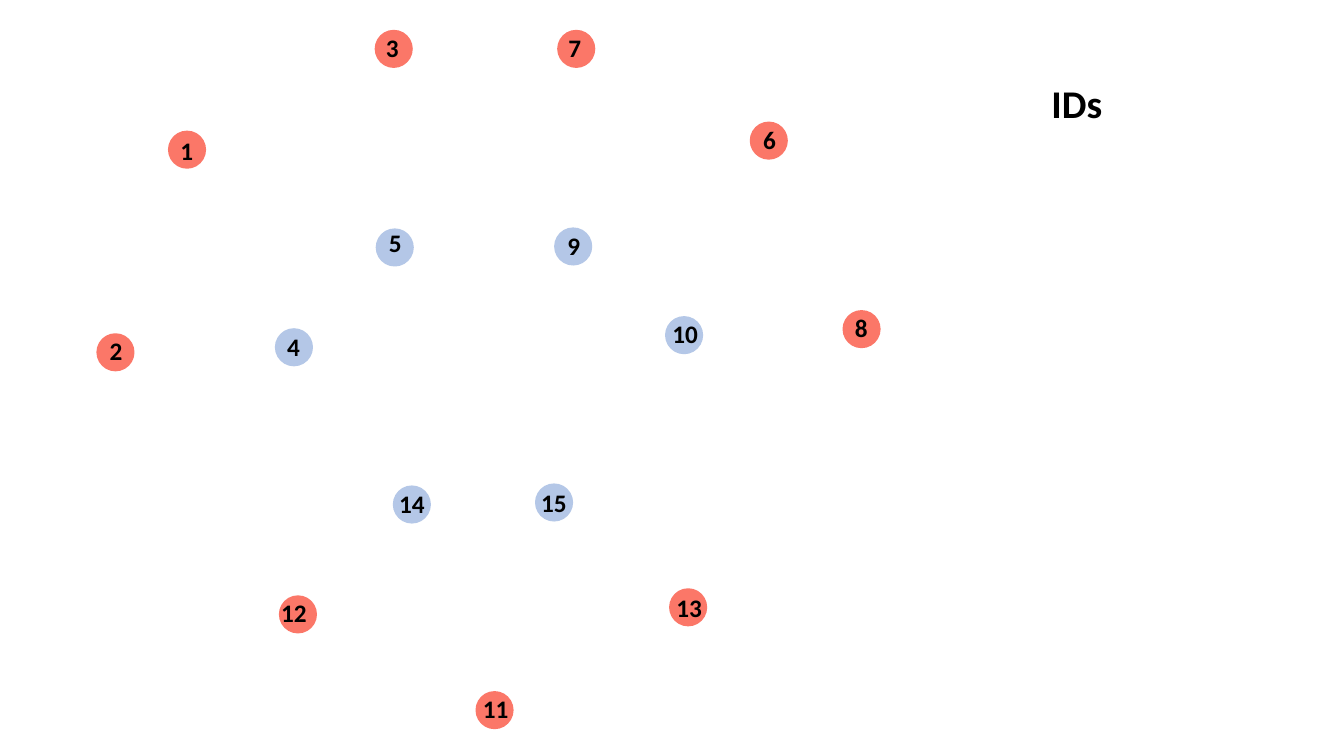
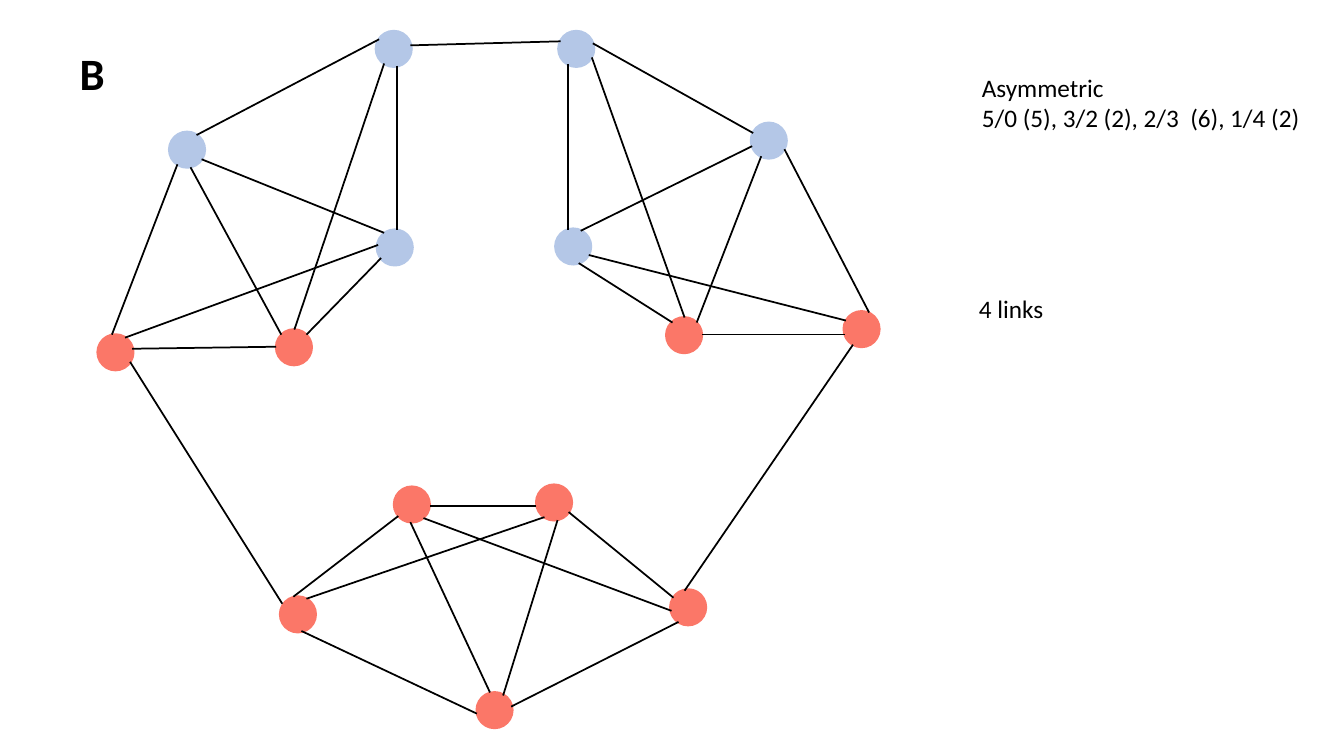
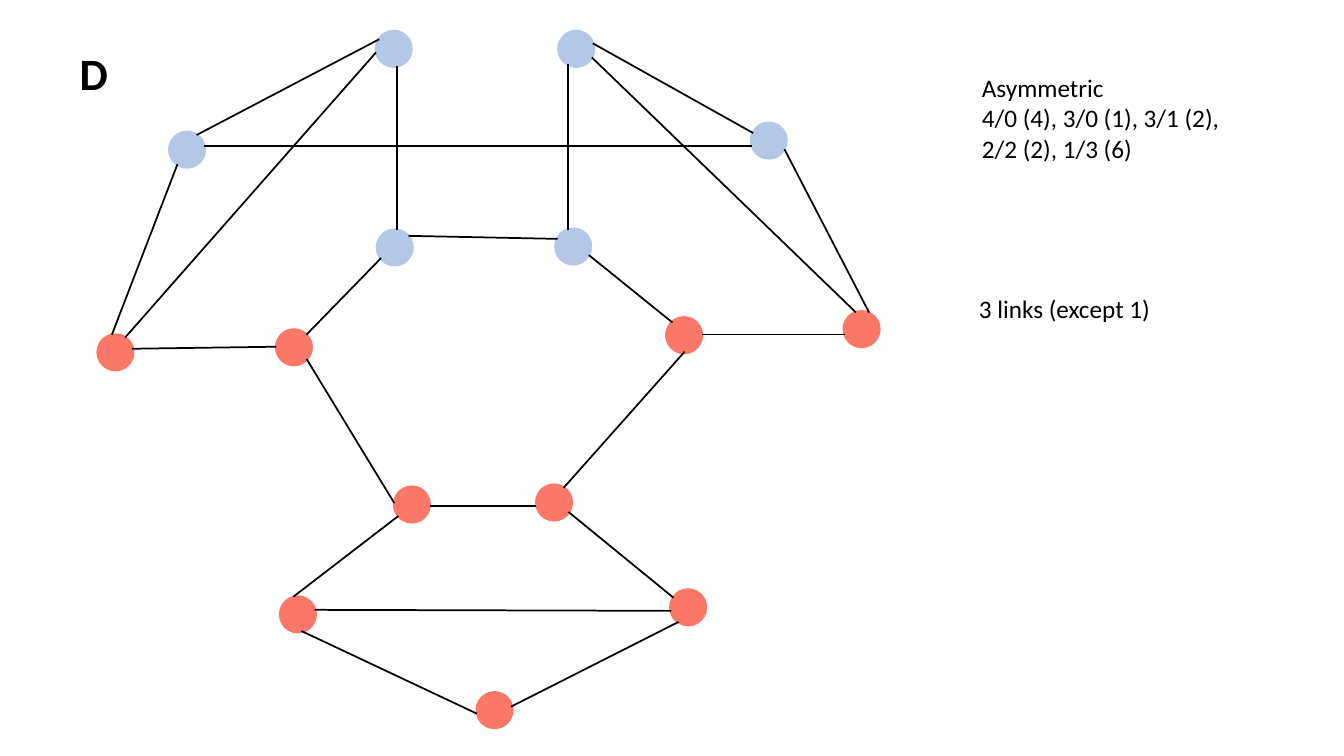
from lxml import etree
from pptx import Presentation
from pptx.dml.color import RGBColor
from pptx.enum.shapes import MSO_CONNECTOR, MSO_SHAPE
from pptx.enum.text import MSO_AUTO_SIZE
from pptx.oxml.ns import qn
from pptx.util import Emu, Pt

STRAIGHT = MSO_CONNECTOR.STRAIGHT
ELLIPSE = MSO_SHAPE.OVAL
GROW = MSO_AUTO_SIZE.SHAPE_TO_FIT_TEXT

EMU_PER_PX = 9144
FONT = "Calibri"
BLACK, RED, BLUE = "000000", "FB7768", "B4C7E7"
NODE_SIZE = 35
LABEL_HEIGHT = 40
LABEL_WIDTHS = {1: 33, 2: 46}

NODES = {
    1: (168, 131), 2: (97, 332), 3: (373, 31), 4: (274, 327), 5: (374, 228),
    6: (745, 122), 7: (554, 31), 8: (837, 309), 9: (551, 227), 10: (661, 315),
    11: (473, 687), 12: (278, 592), 13: (665, 585), 14: (391, 483), 15: (532, 481),
}
LABELS = {
    1: (169, 129), 2: (99, 328), 3: (373, 27), 4: (275, 324), 5: (376, 221),
    6: (747, 118), 7: (554, 27), 8: (838, 305), 9: (553, 224), 10: (657, 311),
    11: (469, 683), 12: (269, 588), 13: (661, 583), 14: (386, 480), 15: (527, 479),
}
INNER_NODES = {4, 5, 9, 10, 14, 15}
UPPER_NODES = {1, 3, 5, 6, 7, 9}

SHARED_LINKS = [
    (376, 39, 195, 134), (394, 65, 394, 228), (274, 344, 131, 346),
    (304, 332, 378, 256), (862, 310, 778, 148), (838, 332, 696, 332),
    (563, 228, 563, 64), (299, 626, 473, 708), (291, 592, 395, 512),
    (564, 508, 668, 593), (532, 502, 426, 502), (111, 332, 176, 163),
    (747, 132, 588, 43), (507, 701, 673, 617),
]
B_LINKS = [
    (381, 231, 200, 158), (279, 332, 189, 166), (375, 243, 124, 335),
    (691, 320, 755, 155), (576, 229, 746, 145), (679, 315, 587, 57),
    (574, 261, 667, 320), (407, 518, 486, 687), (553, 516, 499, 690),
    (420, 514, 666, 606), (381, 63, 292, 327), (839, 318, 584, 253),
    (304, 594, 540, 513), (280, 599, 129, 359), (407, 45, 556, 41),
    (846, 342, 679, 586),
]
D_LINKS = [
    (373, 52, 124, 335), (202, 145, 746, 145), (849, 310, 587, 57),
    (584, 253, 667, 320), (312, 605, 666, 606), (391, 499, 304, 356),
    (405, 234, 553, 237), (679, 349, 559, 484),
]
NETWORKS = [
    ("B", 45, B_LINKS, 340, 71,
     ["Asymmetric", "5/0 (5), 3/2 (2), 2/3  (6), 1/4 (2)"], 85, "4 links"),
    ("D", 48, D_LINKS, 259, 101,
     ["Asymmetric", "4/0 (4), 3/0 (1), 3/1 (2),", "2/2 (2), 1/3 (6)"],
     192, "3 links (except 1)"),
]


def px(value):
    return Emu(value * EMU_PER_PX)


def color(code):
    return RGBColor.from_string(code)


def add_nodes(page, blue_nodes):
    for number, (left, top) in NODES.items():
        shade = color(BLUE if number in blue_nodes else RED)
        node = page.shapes.add_shape(
            ELLIPSE, px(left), px(top), px(NODE_SIZE), px(NODE_SIZE))
        node.shadow.inherit = False
        node.fill.solid()
        node.fill.fore_color.rgb = shade
        node.line.color.rgb = shade
        node.line.width = Pt(2)


def add_links(page, links):
    for ends in links:
        link = page.shapes.add_connector(STRAIGHT, *map(px, ends))
        link.line.color.rgb = color(BLACK)
        link.line.width = Pt(1.25)
        properties = link._element.find(qn("p:spPr"))
        etree.SubElement(properties, qn("a:effectLst"))


def add_text(page, left, top, width, height, lines, size=18, bold=False):
    box = page.shapes.add_textbox(px(left), px(top), px(width), px(height))
    frame = box.text_frame
    frame.word_wrap = False
    frame.auto_size = GROW
    frame.text = "\n".join(lines)
    for paragraph in frame.paragraphs:
        font = paragraph.font
        font.name = FONT
        font.size = Pt(size)
        font.bold = bold
        font.color.rgb = color(BLACK)


def add_id_page(deck):
    page = deck.slides.add_slide(deck.slide_layouts[6])
    add_nodes(page, INNER_NODES)
    add_text(page, 1033, 74, 71, 57, ["IDs"], 28, True)
    for number, (left, top) in LABELS.items():
        label = str(number)
        add_text(page, left, top, LABEL_WIDTHS[len(label)], LABEL_HEIGHT, [label], bold=True)


def add_network_page(deck, letter, letter_width, links, width, height, summary,
                     count_width, count):
    page = deck.slides.add_slide(deck.slide_layouts[6])
    add_nodes(page, UPPER_NODES)
    add_links(page, SHARED_LINKS + links)
    add_text(page, 964, 67, width, height, summary)
    add_text(page, 961, 286, count_width, LABEL_HEIGHT, [count])
    add_text(page, 69, 40, letter_width, 64, [letter], 32, True)


def main():
    deck = Presentation()
    deck.slide_width, deck.slide_height = px(1333), px(750)
    add_id_page(deck)
    for network in NETWORKS:
        add_network_page(deck, *network)
    deck.save("out.pptx")


if __name__ == "__main__":
    main()
